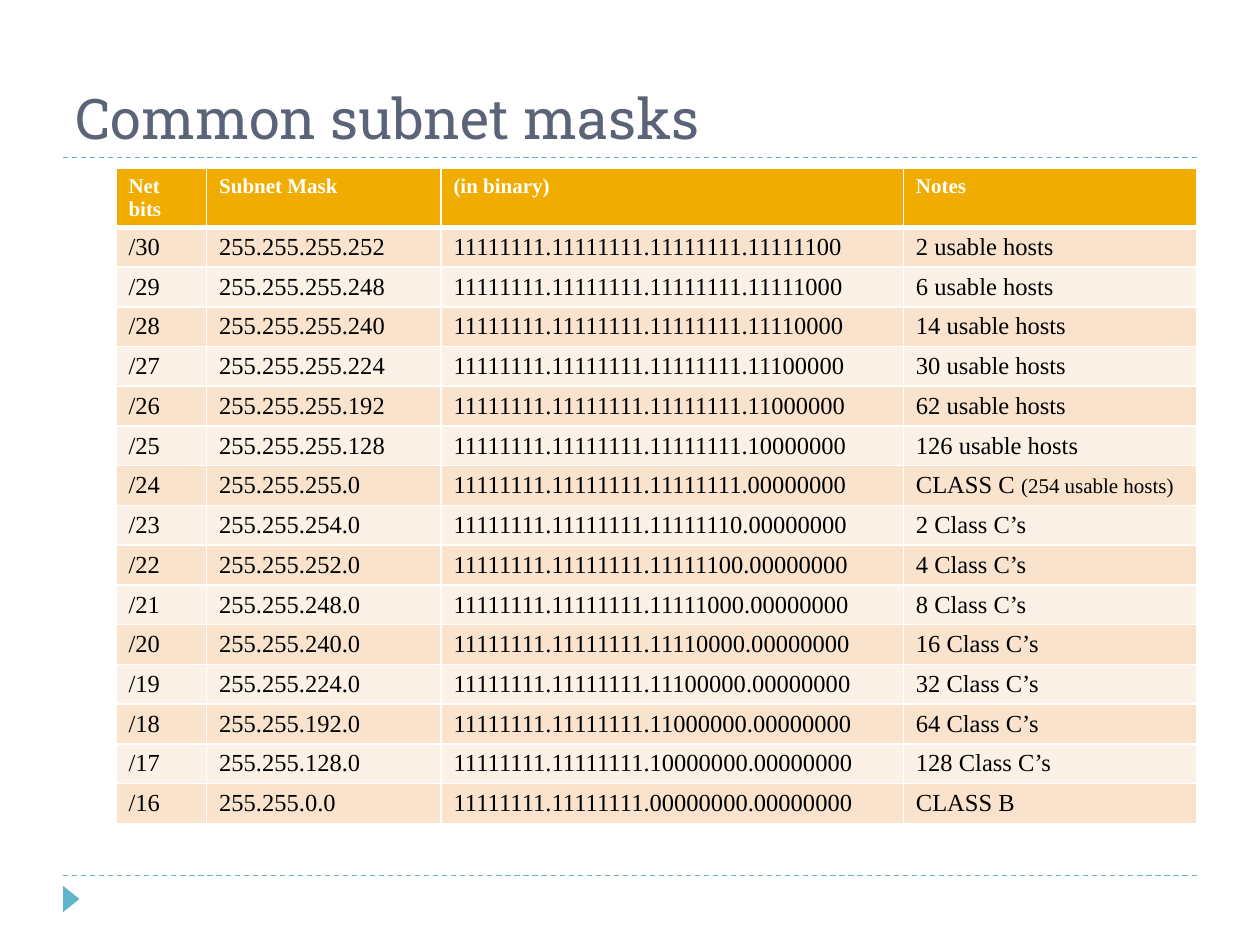
import pptx
import pptx.util
import pptx.dml.color
import pptx.enum.dml
import pptx.enum.shapes
import pptx.enum.text
import pptx.oxml
import pptx.oxml.ns

Pt = pptx.util.Pt

# Content: each row is net bits and a note, as a list of (text, size) runs
TITLE = "Common subnet masks"
HEADS = ["Net bits", "Subnet Mask", "(in binary)", "Notes"]
HOSTS = [(bits, [(f"{2 ** (32 - bits) - 2} usable hosts", 14)]) for bits in range(30, 24, -1)]
CLASS_C = [(24, [("CLASS C ", 14), ("(254 usable hosts)", 12)])]
BLOCKS = [(bits, [(f"{2 ** (24 - bits)} Class C’s", 14)]) for bits in range(23, 16, -1)]
CLASS_B = [(16, [("CLASS B", 14)])]
ROWS = HOSTS + CLASS_C + BLOCKS + CLASS_B

COLORS = {"title": "5A6378", "accent": "60B5CC", "head": "F0AD00", "dark": "F9E3CC",
          "light": "FCF1E7", "white": "FFFFFF", "black": "000000"}
SERIF = "Times New Roman"
WIDTHS = [51.84, 133.92, 264.24, 167.76]
HEAD_H, ROW_H = 33.12, 22.68
RULES = [90, 500.4]


def color(name):
    return pptx.dml.color.RGBColor.from_string(COLORS[name])


def write(frame, text, size=14, font=SERIF, ink="black", bold=False):
    """Add a run to the first paragraph of a text frame."""
    run = frame.paragraphs[0].add_run()
    run.text = text
    run.font.size, run.font.name, run.font.bold = Pt(size), font, bold
    run.font.color.rgb = color(ink)


def paint(cell, fill, top=1, base=1):
    """Give a cell white borders and a solid fill."""
    props = cell._tc.get_or_add_tcPr()
    for side, width in (("L", 1), ("R", 1), ("T", top), ("B", base)):
        props.append(pptx.oxml.parse_xml(
            f'<a:ln{side} {pptx.oxml.ns.nsdecls("a")} w="{Pt(width)}"><a:solidFill>'
            f'<a:srgbClr val="{COLORS["white"]}"/></a:solidFill></a:ln{side}>'))
    cell.fill.solid()
    cell.fill.fore_color.rgb = color(fill)


def octets(bits):
    """Split a mask with this many leading ones into four octets."""
    mask = "1" * bits + "0" * (32 - bits)
    return [mask[i:i + 8] for i in range(0, 32, 8)]


def main():
    deck = pptx.Presentation()
    deck.slide_width, deck.slide_height = Pt(720), Pt(540)
    slide = deck.slides.add_slide(deck.slide_layouts[5])
    shapes = slide.shapes

    # Dashed rules
    for y in RULES:
        rule = shapes.add_connector(pptx.enum.shapes.MSO_CONNECTOR.STRAIGHT,
                                    Pt(36), Pt(y), Pt(684), Pt(y))
        rule.line.color.rgb = color("accent")
        rule.line.width = Pt(0.75)
        rule.line.dash_style = pptx.enum.dml.MSO_LINE.DASH
        rule._element.spPr.append(pptx.oxml.parse_xml(
            f'<a:effectLst {pptx.oxml.ns.nsdecls("a")}/>'))

    # Corner marker
    mark = shapes.add_shape(pptx.enum.shapes.MSO_SHAPE.ISOSCELES_TRIANGLE,
                            Pt(33.12), Pt(509.04), Pt(15.12), Pt(9.36))
    mark.rotation = 90
    mark.shadow.inherit = False
    mark.fill.solid()
    mark.fill.fore_color.rgb = color("accent")
    mark.line.fill.background()

    # Title
    title = shapes.title
    title.left, title.top, title.width, title.height = Pt(36), Pt(12.24), Pt(648), Pt(77.76)
    frame = title.text_frame
    frame.vertical_anchor = pptx.enum.text.MSO_ANCHOR.BOTTOM
    frame.paragraphs[0].alignment = pptx.enum.text.PP_ALIGN.LEFT
    write(frame, TITLE, size=32, font="Roboto Slab", ink="title")

    # Table
    table = shapes.add_table(len(ROWS) + 1, len(HEADS), Pt(66.24), Pt(96), Pt(sum(WIDTHS)),
                             Pt(HEAD_H + ROW_H * len(ROWS))).table
    for col, width in zip(table.columns, WIDTHS):
        col.width = Pt(width)
    for i, row in enumerate(table.rows):
        row.height = Pt(ROW_H if i else HEAD_H)

    for cell, head in zip(table.rows[0].cells, HEADS):
        paint(cell, "head", base=3)
        write(cell.text_frame, head, size=12, ink="white", bold=True)

    for i, (bits, note) in enumerate(ROWS):
        parts = octets(bits)
        mask = ".".join(str(int(part, 2)) for part in parts)
        texts = [[(f"/{bits}", 14)], [(mask, 14)], [(".".join(parts), 14)], note]
        for cell, runs in zip(table.rows[i + 1].cells, texts):
            paint(cell, "light" if i % 2 else "dark", top=1 if i else 3)
            for text, size in runs:
                write(cell.text_frame, text, size=size)

    deck.save("out.pptx")


if __name__ == "__main__":
    main()
